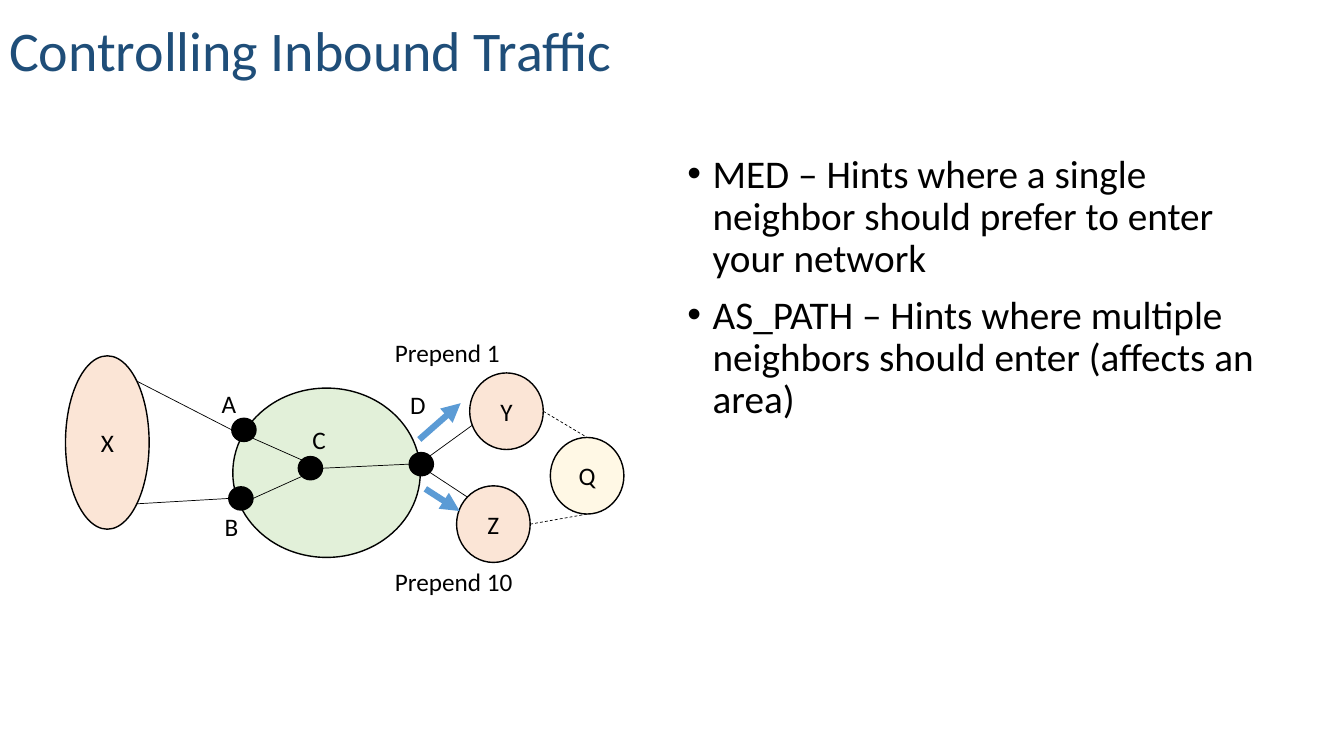
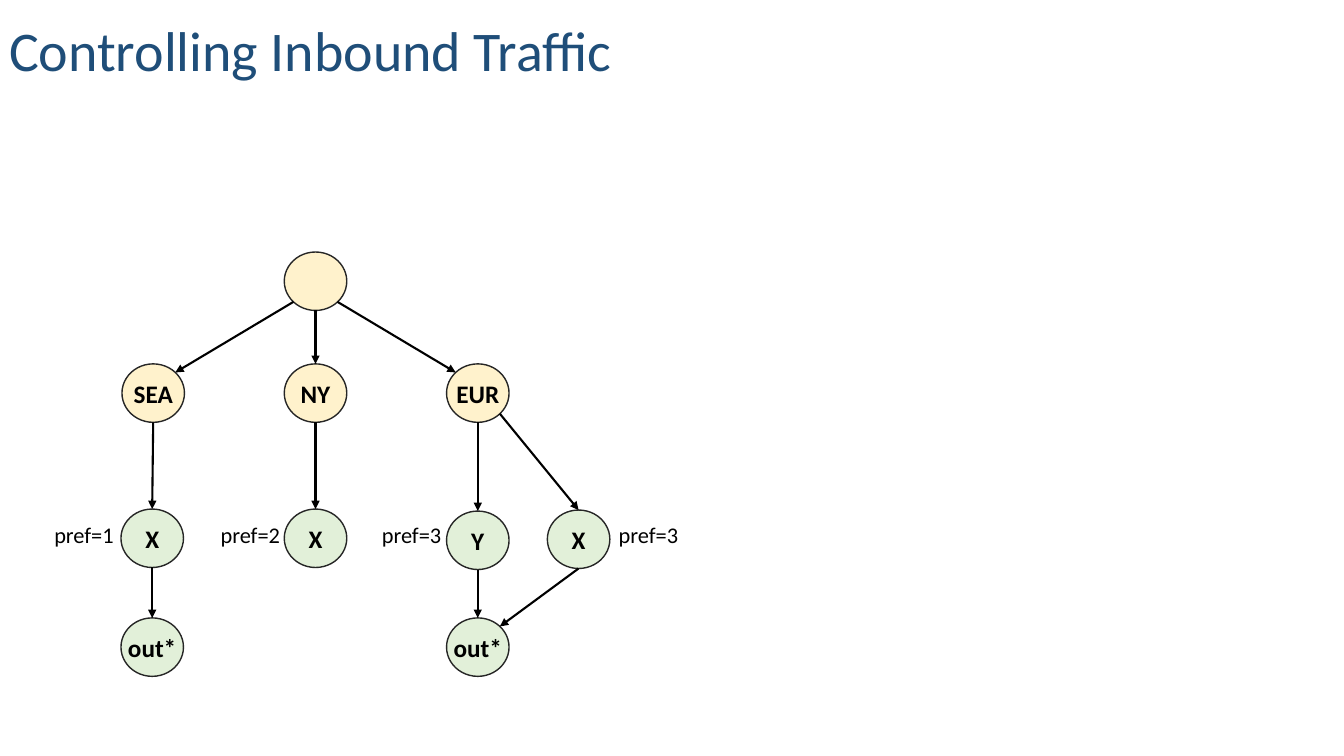
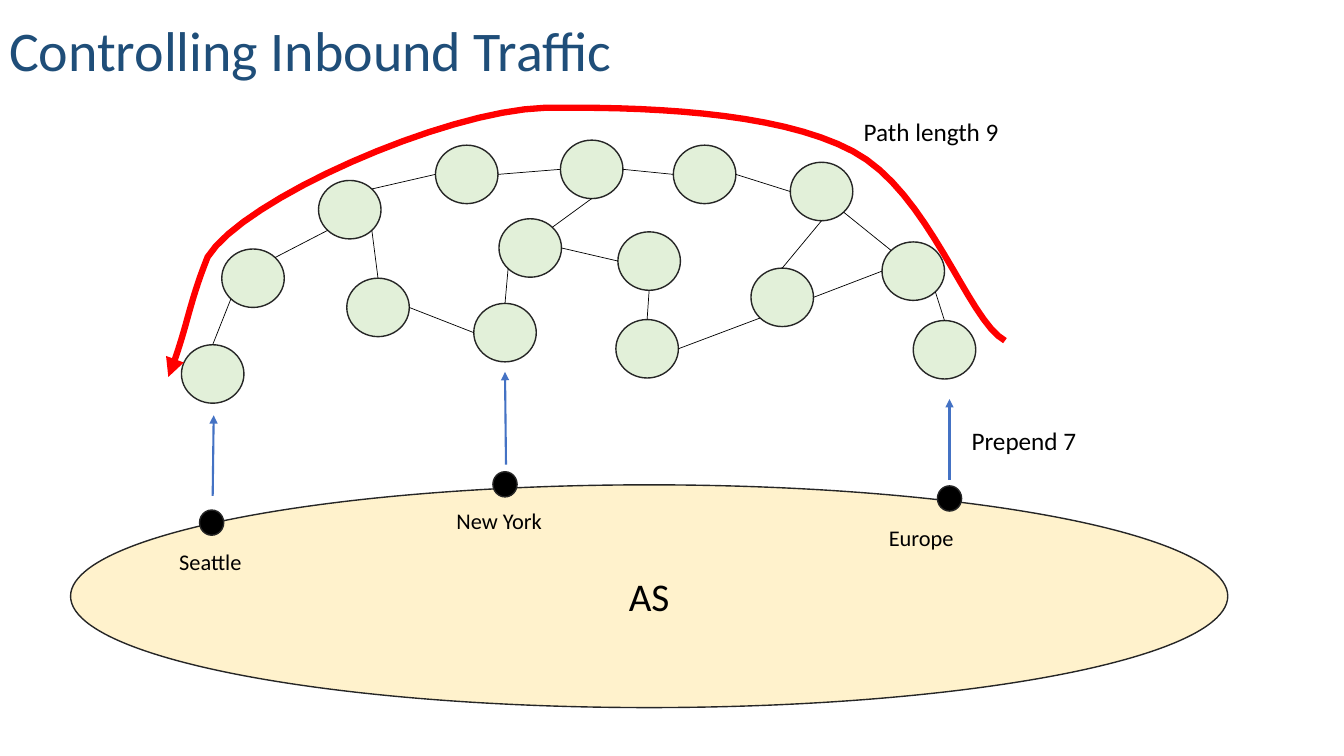
from math import sqrt

from lxml.etree import SubElement
from pptx import Presentation
from pptx.dml.color import RGBColor
from pptx.enum.dml import MSO_LINE
from pptx.enum.shapes import MSO_CONNECTOR as Connector, MSO_SHAPE as Preset
from pptx.enum.text import MSO_ANCHOR as Anchor, MSO_AUTO_SIZE as AutoSize, PP_ALIGN as Align
from pptx.oxml.ns import qn
from pptx.util import Inches, Pt

CELL = Inches(0.1)
COLUMNS, ROWS = 133.33, 75
FONT = "Calibri"
COLORS = {
    "title": "1F4E79", "ink": "000000", "outline": "262626", "green": "E2F0D9",
    "peach": "FBE5D6", "cream": "FFF2CC", "sky": "5B9BD5", "blue": "4472C4", "red": "FF0000",
}
DIAGONAL = sqrt(0.5)
COMPASS = {
    "n": (0, -1), "e": (1, 0), "s": (0, 1), "w": (-1, 0),
    "ne": (DIAGONAL, -DIAGONAL), "se": (DIAGONAL, DIAGONAL),
    "sw": (-DIAGONAL, DIAGONAL), "nw": (-DIAGONAL, -DIAGONAL),
}
HOP = (6.2, 5.8)
TITLE = "Controlling Inbound Traffic"


def cells(*lengths):
    """Turn columns and rows of the grid into slide units."""
    return [round(length * CELL) for length in lengths]


def rim(node, side):
    """Give the point of an ellipse that faces a compass side, in cells."""
    dx, dy = COMPASS[side]
    return ((node.left + node.width * (1 + dx) / 2) / CELL,
            (node.top + node.height * (1 + dy) / 2) / CELL)


def bezier(start, first, second, end, steps=16):
    """Give the points of a cubic curve after its start."""
    points = []
    for step in range(1, steps + 1):
        t = step / steps
        weights = ((1 - t) ** 3, 3 * t * (1 - t) ** 2, 3 * t * t * (1 - t), t ** 3)
        points.append(tuple(sum(w * p[axis] for w, p in zip(weights, (start, first, second, end)))
                            for axis in (0, 1)))
    return points


class Deck:
    """Hold the shared style and the slide being drawn."""

    def __init__(self):
        """Begin a blank wide presentation."""
        self.show = Presentation()
        self.show.slide_width, self.show.slide_height = cells(COLUMNS, ROWS)
        self.slide = None

    def color(self, name):
        """Look up a colour by name."""
        return RGBColor.from_string(COLORS[name])

    def put_text(self, paragraph, text, size, color="ink", bold=False):
        """Add one styled run."""
        run = paragraph.add_run()
        run.text = text
        run.font.name, run.font.size, run.font.bold = FONT, Pt(size), bold
        run.font.color.rgb = self.color(color)

    def place(self, part, x, y, width, height):
        """Move a placeholder onto the grid."""
        part.left, part.top, part.width, part.height = cells(x, y, width, height)
        part.text_frame.auto_size = AutoSize.NONE
        part.text_frame.word_wrap = True
        return part.text_frame

    def start(self, title, layout="Title Only"):
        """Begin a slide with its title."""
        self.slide = self.show.slides.add_slide(self.show.slide_layouts.get_by_name(layout))
        frame = self.place(self.slide.shapes.title, -0.1, -0.5, 65.7, 9.3)
        frame.vertical_anchor = Anchor.BOTTOM
        heading = frame.paragraphs[0]
        heading.alignment, heading.line_spacing = Align.LEFT, 0.9
        self.put_text(heading, title, 40, "title")

    def bullets(self, box, points):
        """Fill the body placeholder with a list."""
        frame = self.place(self.slide.placeholders[1], *box)
        frame.vertical_anchor = Anchor.TOP
        for index, point in enumerate(points):
            item = frame.add_paragraph() if index else frame.paragraphs[0]
            indent = item._p.get_or_add_pPr()
            indent.set("marL", str(Inches(0.25)))
            indent.set("indent", str(-Inches(0.25)))
            item.line_spacing, item.space_before = 0.9, Pt(10 if index else 0)
            SubElement(indent, qn("a:buFont")).set("typeface", "Arial")
            SubElement(indent, qn("a:buChar")).set("char", "•")
            self.put_text(item, point, 28)

    def label(self, x, y, width, text, size=18, spacing=1.0):
        """Add a one-line caption."""
        frame = self.slide.shapes.add_textbox(*cells(x, y, width, 4)).text_frame
        frame.word_wrap = True
        frame.paragraphs[0].line_spacing = spacing
        self.put_text(frame.paragraphs[0], text, size)

    def node(self, x, y, size, fill, outline="outline", text="", points=18, bold=False, alpha=None):
        """Add an ellipse with an optional caption inside."""
        node = self.slide.shapes.add_shape(Preset.OVAL, *cells(x, y, *size))
        node.shadow.inherit = False
        node.fill.solid()
        node.fill.fore_color.rgb = self.color(fill)
        node.line.color.rgb, node.line.width = self.color(outline), Pt(1)
        if alpha:
            tint = node.element.spPr.find(qn("a:solidFill")).find(qn("a:srgbClr"))
            SubElement(tint, qn("a:alpha")).set("val", str(alpha * 1000))
        if text:
            frame = node.text_frame
            frame.margin_left = frame.margin_right = frame.margin_top = frame.margin_bottom = 0
            frame.word_wrap, frame.vertical_anchor = False, Anchor.MIDDLE
            frame.paragraphs[0].alignment = Align.CENTER
            self.put_text(frame.paragraphs[0], text, points, bold=bold)
        return node

    def stroke(self, part, color, width, arrow):
        """Style a line and give it an arrowhead if asked."""
        part.line.color.rgb, part.line.width = self.color(color), Pt(width)
        if arrow:
            SubElement(part.element.spPr.find(qn("a:ln")), qn("a:tailEnd")).set("type", "triangle")

    def line(self, start, end, color="ink", width=0.5, arrow=False, dashed=False):
        """Draw a straight line between two points."""
        line = self.slide.shapes.add_connector(Connector.STRAIGHT, *cells(*start, *end))
        if dashed:
            line.line.dash_style = MSO_LINE.DASH
        self.stroke(line, color, width, arrow)
        SubElement(line.element.spPr, qn("a:effectLst"))

    def link(self, origin, leaving, target, entering, **style):
        """Draw a line from the rim of one node to the rim of another."""
        self.line(rim(origin, leaving), rim(target, entering), **style)

    def curve(self, start, bends, color, width):
        """Draw an open curved arrow."""
        points, here = [], start
        for bend in bends:
            points += bezier(here, *bend)
            here = bend[-1]
        builder = self.slide.shapes.build_freeform(*cells(*start))
        builder.add_line_segments([cells(*point) for point in points], close=False)
        route = builder.convert_to_shape()
        route.shadow.inherit = False
        route.fill.background()
        self.stroke(route, color, width, True)


def prepending(deck):
    """Show the two hints beside a small network."""
    deck.start(TITLE, "Title and Content")
    deck.bullets((67.2, 14.8, 61.2, 58.6), (
        "MED – Hints where a single neighbor should prefer to enter your network",
        "AS_PATH – Hints where multiple neighbors should enter (affects an area)",
    ))
    deck.node(23.1, 38.5, (18.6, 16.8), "green", "ink")
    a, b, c, d = (deck.node(x, y, (2.4, 2.3), "ink", "ink")
                  for x, y in ((23, 41.5), (22.7, 48.3), (29.6, 45.3), (40.6, 44.9)))
    deck.line((47.8, 41.5), rim(d, "ne"))
    x = deck.node(6.5, 35.3, (8.3, 17.2), "peach", "ink", "X")
    neighbor = (7.3, 7.6)
    y = deck.node(46.6, 37, neighbor, "peach", "ink", "Y")
    z = deck.node(45.3, 48.2, neighbor, "peach", "ink", "Z")
    q = deck.node(54.6, 43.4, neighbor, "cream", "ink", "Q", alpha=50)
    for ends in ((a, "w", x, "ne"), (b, "w", x, "se"), (c, "sw", b, "e"),
                 (c, "nw", a, "se"), (d, "w", c, "e"), (z, "nw", d, "se")):
        deck.link(*ends)
    for ends in ((q, "s", z, "e"), (y, "e", q, "n")):
        deck.link(*ends, dashed=True)
    for start, end in (((41.6, 43.6), (45.7, 40)), ((42.2, 48.5), (45.6, 50.7))):
        deck.line(start, end, "sky", 4.5, arrow=True)
    for left, top, router in ((21, 38, "A"), (21.3, 50.2, "B"), (30, 41.6, "C"), (39.7, 38.1, "D")):
        deck.label(left, top, 4, router)
    deck.label(38.2, 33, 14, "Prepend 1")
    deck.label(38.2, 55.7, 15, "Prepend 10")


def preferences(deck):
    """Show the tree of sites and preferred exits."""
    deck.start(TITLE)
    west, middle, east, far = 12, 28.2, 44.3, 54.3
    root = deck.node(middle, 25, HOP, "cream")
    sea, ny, eur = (deck.node(x, 36.1, HOP, "cream", text=site, bold=True)
                    for x, site in ((west + 0.1, "SEA"), (middle, "NY"), (east, "EUR")))
    sea_x, ny_x, eur_y, eur_x, sea_out, eur_out = (
        deck.node(x, y, HOP, "green", text=peer, bold=True)
        for x, y, peer in ((west, 50.5, "X"), (middle, 50.5, "X"), (east, 50.7, "Y"),
                           (far, 50.6, "X"), (west, 61.3, "out*"), (east, 61.3, "out*")))
    for ends in ((root, "sw", sea, "ne"), (root, "s", ny, "n"), (root, "se", eur, "nw"),
                 (sea, "s", sea_x, "n"), (ny, "s", ny_x, "n"), (eur, "s", eur_y, "n"),
                 (eur, "se", eur_x, "n"), (sea_x, "s", sea_out, "n"),
                 (eur_y, "s", eur_out, "n"), (eur_x, "s", eur_out, "ne")):
        deck.link(*ends, width=1.5, arrow=True)
    for x, rank in ((4.4, 1), (20.9, 2), (36.9, 3), (60.4, 3)):
        deck.label(x, 51.2, 9, f"pref={rank}", 16)


def long_route(deck):
    """Show how prepending stretches the route around the world."""
    deck.start(TITLE)
    deck.node(7, 48.1, (114.8, 22.1), "cream", text="AS", points=28)
    for x, y in ((19.8, 50.6), (48.9, 46.8), (93, 48.2)):
        deck.node(x, y, (2.4, 2.5), "ink")
    for x, y, width, city in ((16.8, 54.4, 9, "Seattle"), (44.3, 50.3, 11.6, "New York"),
                              (87.2, 52, 11.6, "Europe")):
        deck.label(x, y, width, city, 16, 0.8)
    for start, end in (((21.1, 49.2), (21.2, 41.2)), ((50.2, 46.1), (50.1, 36.9)),
                       ((94.2, 47.6), (94.2, 39.6))):
        deck.line(start, end, "blue", 1.5, arrow=True)
    places = {
        "A": (18, 34.2), "B": (22, 24.7), "C": (31.6, 17.9), "D": (43.2, 14.4), "E": (55.6, 13.9),
        "F": (66.8, 14.4), "G": (78.4, 16.1), "H": (87.5, 24), "I": (90.6, 31.8), "J": (47, 30.1),
        "K": (49.5, 21.7), "L": (61.3, 23), "M": (74.5, 26.6), "N": (34.4, 27.6), "O": (61.1, 31.7),
    }
    hops = {name: deck.node(*place, HOP, "green") for name, place in places.items()}
    for route in ("B sw A n", "C sw B ne", "C se N n", "D w C ne", "E w D e", "F w E e",
                  "G w F e", "H nw G se", "H se I n", "G s M n", "M sw O e", "H w M e",
                  "J w N e", "K sw J n", "L w K e", "L s O n", "E s K ne"):
        origin, leaving, target, entering = route.split()
        deck.link(hops[origin], leaving, hops[target], entering)
    deck.label(95.4, 41.7, 14, "Prepend 7")
    deck.curve((99.7, 33.8), (
        ((96, 31.8), (92.2, 19), (84.6, 15)),
        ((76.9, 10.9), (63, 10.6), (54, 10.7)),
        ((44, 11), (24.1, 19.8), (20.6, 25.5)),
        ((18.6, 30.5), (18.6, 32.6), (16.7, 37.4)),
    ), "red", 4.5)
    deck.label(84.7, 11, 17, "Path length 9")


def main():
    """Build the three slides and save them."""
    deck = Deck()
    for draw in (prepending, preferences, long_route):
        draw(deck)
    deck.show.save("out.pptx")


if __name__ == "__main__":
    main()
